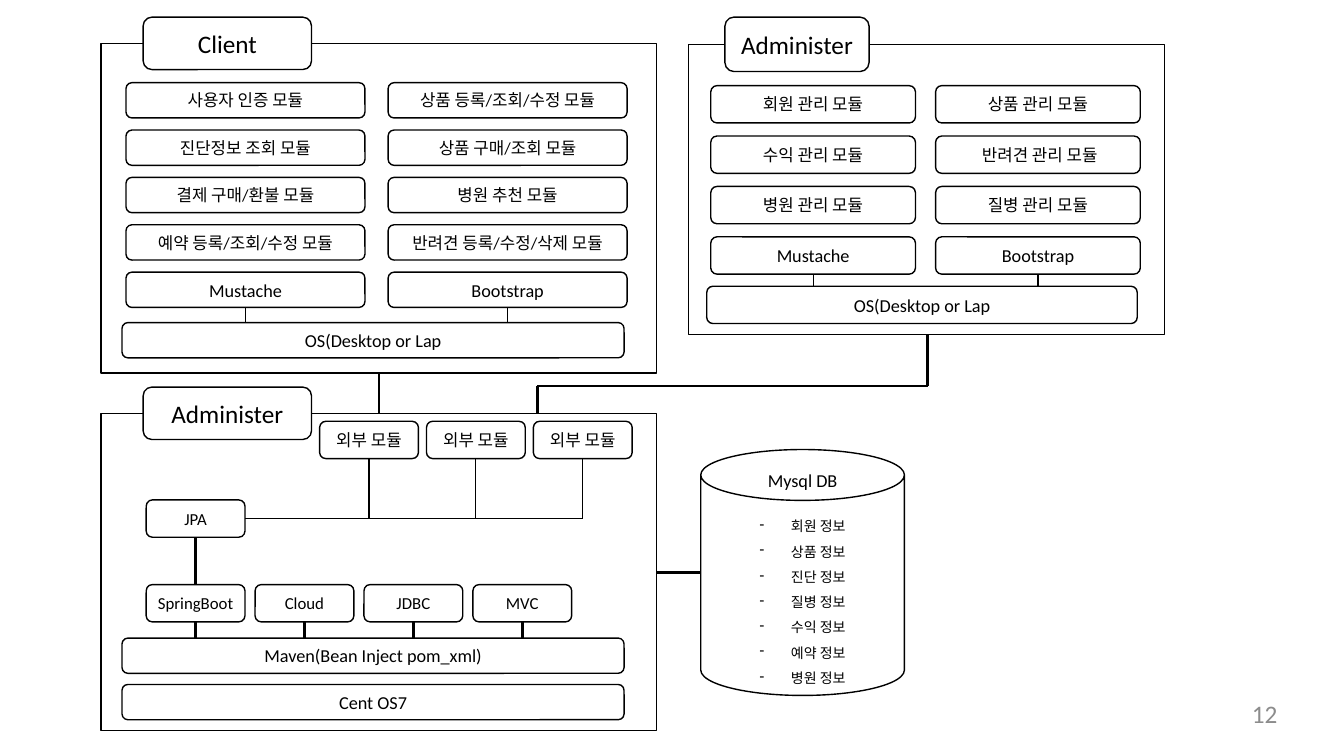
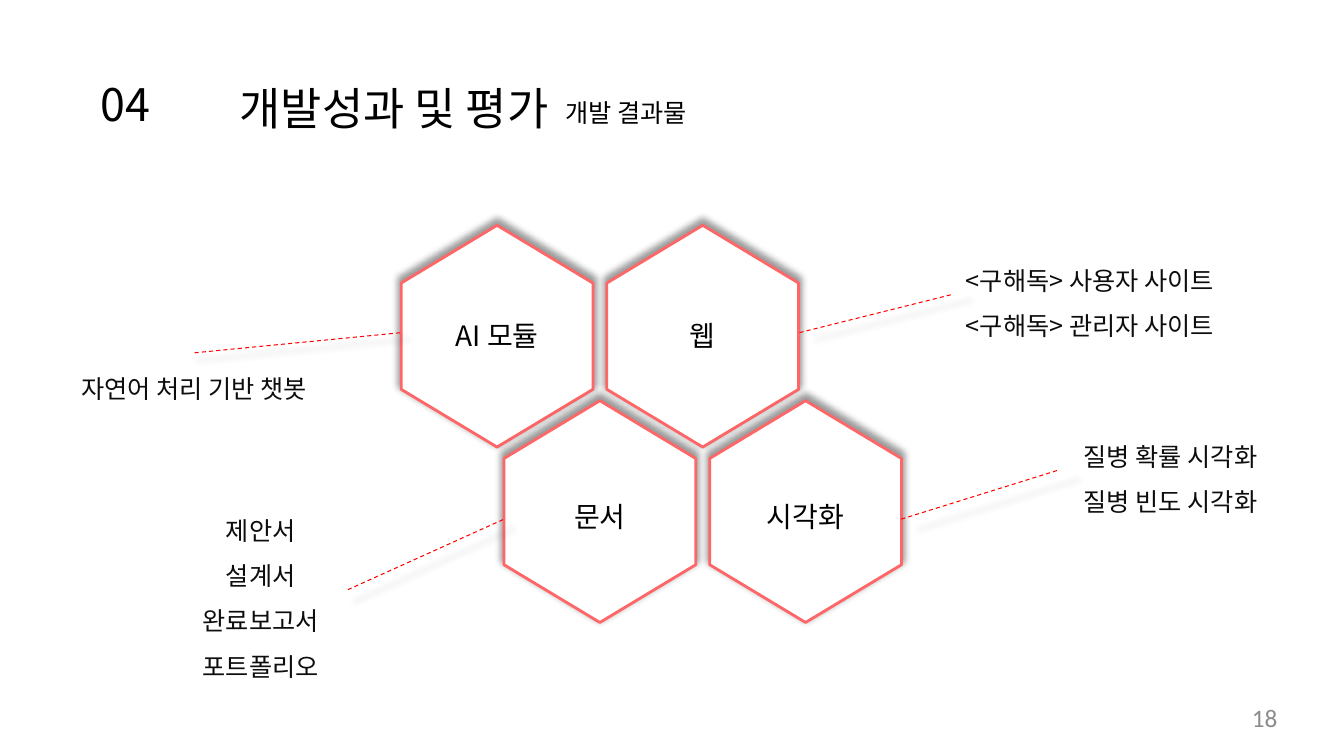
import pptx
import pptx.util
import pptx.dml.color
import pptx.enum.dml
import pptx.enum.shapes
import pptx.enum.text
import pptx.oxml.ns
import lxml.etree

Inches = pptx.util.Inches
Pt = pptx.util.Pt
SHAPE = pptx.enum.shapes.MSO_SHAPE
ALIGN = pptx.enum.text.PP_ALIGN
ANCHOR = pptx.enum.text.MSO_ANCHOR
qn = pptx.oxml.ns.qn

BLACK, WHITE, GREY = "000000", "FFFFFF", "8C8C8C"
INK, RED, CORAL = "0D0D0D", "FF0000", "FE6667"
LATIN, HANGUL = "Calibri", "Noto Sans CJK KR"


def color(code):
    return pptx.dml.color.RGBColor.from_string(code)


def child(parent, tag, **attrs):
    return lxml.etree.SubElement(parent, qn(tag), attrs)


def glow(shape):
    props = shape._element.spPr
    for old in props.findall(qn("a:effectLst")):
        props.remove(old)
    shade = child(child(props, "a:effectLst"), "a:outerShdw", blurRad="63500",
                  sx="102000", sy="102000", algn="ctr", rotWithShape="0")
    child(child(shade, "a:prstClr", val="black"), "a:alpha", val="40000")


def write(shape, lines, size, font=LATIN, code=BLACK, align=ALIGN.CENTER,
          space=None, anchor=ANCHOR.MIDDLE, inset=(0.05, 0.05, 0.05, 0.05), dash=False):
    frame = shape.text_frame
    frame.word_wrap = True
    frame.vertical_anchor = anchor
    (frame.margin_left, frame.margin_top,
     frame.margin_right, frame.margin_bottom) = map(Inches, inset)
    for i, line in enumerate(lines):
        para = frame.add_paragraph() if i else frame.paragraphs[0]
        para.alignment = align
        if space:
            para.line_spacing = space
        if dash:
            props = para._p.get_or_add_pPr()
            props.set("marL", str(Inches(0.31)))
            props.set("indent", str(-Inches(0.31)))
            child(props, "a:buFontTx")
            child(props, "a:buChar", char="-")
        run = para.add_run()
        run.text = line
        run.font.size = Pt(size)
        run.font.name = font
        run.font.color.rgb = color(code)
        child(run._r.get_or_add_rPr(), "a:ea", typeface=HANGUL)


def label(slide, box, lines, size, **style):
    text = slide.shapes.add_textbox(*map(Inches, box))
    style.setdefault("anchor", ANCHOR.TOP)
    style.setdefault("inset", (0.1, 0.05, 0.1, 0.05))
    write(text, lines, size, **style)
    text.text_frame.auto_size = pptx.enum.text.MSO_AUTO_SIZE.SHAPE_TO_FIT_TEXT


def outline(slide, kind, box, fill=None, code=BLACK, width=1):
    shape = slide.shapes.add_shape(kind, *map(Inches, box))
    shape.shadow.inherit = False
    if fill:
        shape.fill.solid()
        shape.fill.fore_color.rgb = color(fill)
    else:
        shape.fill.background()
    shape.line.color.rgb = color(code)
    shape.line.width = Pt(width)
    return shape


def block(slide, box, text, size=12, fill=None):
    write(outline(slide, SHAPE.ROUNDED_RECTANGLE, box, fill), [text], size)


def link(slide, start, end, width=0.75, code=BLACK):
    line = slide.shapes.add_connector(
        pptx.enum.shapes.MSO_CONNECTOR.STRAIGHT, *map(Inches, start + end))
    line.line.color.rgb = color(code)
    line.line.width = Pt(width)
    child(line._element.spPr, "a:effectLst")
    return line


def folio(slide, number, top):
    label(slide, (9.6, top, 3.07, 0.38), [number], 18, code=GREY,
          align=ALIGN.RIGHT, inset=(0, 0, 0, 0))


def panel(slide, box, title, tab):
    x, y = box[:2]
    outline(slide, SHAPE.RECTANGLE, box)
    left, width, height = tab
    block(slide, (x + left, y - height / 2, width, height), title, 18, WHITE)


def front(slide, box, title, tab, rows, cols, cell, first, step, base):
    x, y = box[:2]
    width, height = cell
    left, top, span = base
    panel(slide, box, title, tab)
    for i, row in enumerate(rows):
        last = i == len(rows) - 1
        for col, text in zip(cols, row):
            spot = y + first + i * step
            block(slide, (x + col, spot, width, height), text, 13 if last else 12)
            if last:
                mid = x + col + width / 2
                link(slide, (mid, spot + height), (mid, y + top))
    block(slide, (x + left, y + top, span, height), "OS(Desktop or Lap", 13)


def server(slide, box):
    x, y = box[:2]
    width, height = 0.98, 0.37
    bus, tools, maven = y + 1.04, y + 1.7, y + 2.23
    panel(slide, box, "Administer", (0.42, 1.67, 0.52))
    for i in range(3):
        left = x + 2.17 + i * 1.06
        block(slide, (left, y + 0.08, width, height), "외부 모듈")
        mid = left + width / 2
        link(slide, (mid, y + 0.08 + height), (mid, bus))
    link(slide, (mid, bus), (x + 0.45 + width, bus))
    block(slide, (x + 0.45, y + 0.86, width, height), "JPA")
    hub = x + 0.45 + width / 2
    link(slide, (hub, y + 0.86 + height), (hub, tools), 2.25)
    for i, text in enumerate(("SpringBoot", "Cloud", "JDBC", "MVC")):
        left = x + 0.45 + i * 1.08
        block(slide, (left, tools, width, height), text)
        mid = left + width / 2
        link(slide, (mid, tools + height), (mid, maven), 2)
    for top, text in ((maven, "Maven(Bean Inject pom_xml)"), (y + 2.69, "Cent OS7")):
        block(slide, (x + 0.21, top, 4.98, 0.35), text, 13)


def store(slide, box):
    x, y, width, height = box
    can = outline(slide, SHAPE.CAN, box)
    topics = ("회원", "상품", "진단", "질병", "수익", "예약", "병원")
    write(can, [topic + " 정보" for topic in topics], 10, space=1.5,
          inset=(0.1, 0.25, 0.1, 0), dash=True)
    label(slide, (x + 0.4, y + 0.12, width - 0.8, 0.26), ["Mysql DB"], 13,
          space=1.5, anchor=ANCHOR.MIDDLE)


def system(slide):
    front(slide, (6.83, 0.44, 4.72, 2.88), "Administer", (0.36, 1.43, 0.54),
          (("회원 관리 모듈", "상품 관리 모듈"),
           ("수익 관리 모듈", " 반려견 관리 모듈"),
           ("병원 관리 모듈", "질병 관리 모듈"),
           ("Mustache", "Bootstrap")),
          (0.22, 2.45), (2.03, 0.37), 0.41, 0.5, (0.18, 2.4, 4.27))
    front(slide, (1, 0.43, 5.51, 3.27), "Client", (0.42, 1.67, 0.52),
          (("사용자 인증 모듈", "상품 등록/조회/수정 모듈"),
           ("진단정보 조회 모듈", "상품 구매/조회 모듈"),
           ("결제 구매/환불 모듈", "병원 추천 모듈"),
           ("예약 등록/조회/수정 모듈", "반려견 등록/수정/삭제 모듈"),
           ("Mustache", "Bootstrap")),
          (0.25, 2.85), (2.37, 0.35), 0.39, 0.47, (0.21, 2.77, 4.98))
    server(slide, (1, 4.1, 5.51, 3.15))
    store(slide, (6.95, 4.46, 2.02, 2.44))
    link(slide, (3.76, 3.7), (3.76, 4.1), 1.75)
    link(slide, (6.51, 5.68), (6.95, 5.68), 2.25)
    route = ((9.2, 3.32), (9.2, 3.83), (5.33, 3.83), (5.33, 4.1))
    for start, end in zip(route, route[1:]):
        link(slide, start, end, 1.75)
    folio(slide, "12", 6.93)


def header(slide, number, title, topic):
    label(slide, (0.83, 0.71, 0.83, 0.64), [number], 32, font=HANGUL,
          anchor=ANCHOR.MIDDLE)
    label(slide, (2.28, 0.75, 3.47, 0.64), [title], 32, font=HANGUL, align=ALIGN.LEFT)
    label(slide, (5.51, 0.92, 2.33, 0.4), [topic], 18, font=HANGUL, align=ALIGN.LEFT)


def comb(slide, x, y, names):
    width, height = 2.2, 1.91
    for i, name in enumerate(names):
        left, top = x + i * 1.02, y + i % 2 * 1.74
        cell = outline(slide, SHAPE.HEXAGON, (left, top, width, height), WHITE, CORAL, 2)
        cell.rotation = 270
        cell.adjustments[0] = 0.3
        cell.adjustments[1] = 1.15
        glow(cell)
    for i, name in enumerate(names):
        mid = x + i * 1.02 + width / 2
        label(slide, (mid - 0.56, y + 0.73 + i % 2 * 1.8, 1.12, 0.44), [name], 20,
              font=HANGUL)


def callout(slide, box, lines, start, end):
    label(slide, box, lines, 18, font=HANGUL, code=INK, space=1.5)
    line = link(slide, start, end, code=RED)
    line.line.dash_style = pptx.enum.dml.MSO_LINE.DASH
    glow(line)


def results(slide):
    header(slide, "04", "개발성과 및 평가", "개발 결과물")
    comb(slide, 3.83, 2.38, ("AI 모듈", "문서", "웹", "시각화"))
    notes = (
        ((0.67, 3.5, 2.51, 0.52), ["자연어 처리 기반 챗봇"], (1.93, 3.5), (3.98, 3.3)),
        ((1.72, 4.91, 1.73, 1.88), ["제안서", "설계서", "완료보고서", "포트폴리오"],
         (3.45, 5.85), (5, 5.15)),
        ((9.45, 2.43, 2.72, 0.97), ["<구해독> 사용자 사이트", "<구해독> 관리자 사이트"],
         (7.93, 3.3), (9.45, 2.92)),
        ((10.51, 4.18, 2.2, 0.97), ["질병 확률 시각화", "질병 빈도 시각화"],
         (8.94, 5.15), (10.51, 4.66)),
    )
    for note in notes:
        callout(slide, *note)
    folio(slide, "18", 6.97)


def main():
    deck = pptx.Presentation()
    deck.slide_width, deck.slide_height = Inches(13.33), Inches(7.5)
    for build in (system, results):
        build(deck.slides.add_slide(deck.slide_layouts[6]))
    deck.save("out.pptx")


if __name__ == "__main__":
    main()
